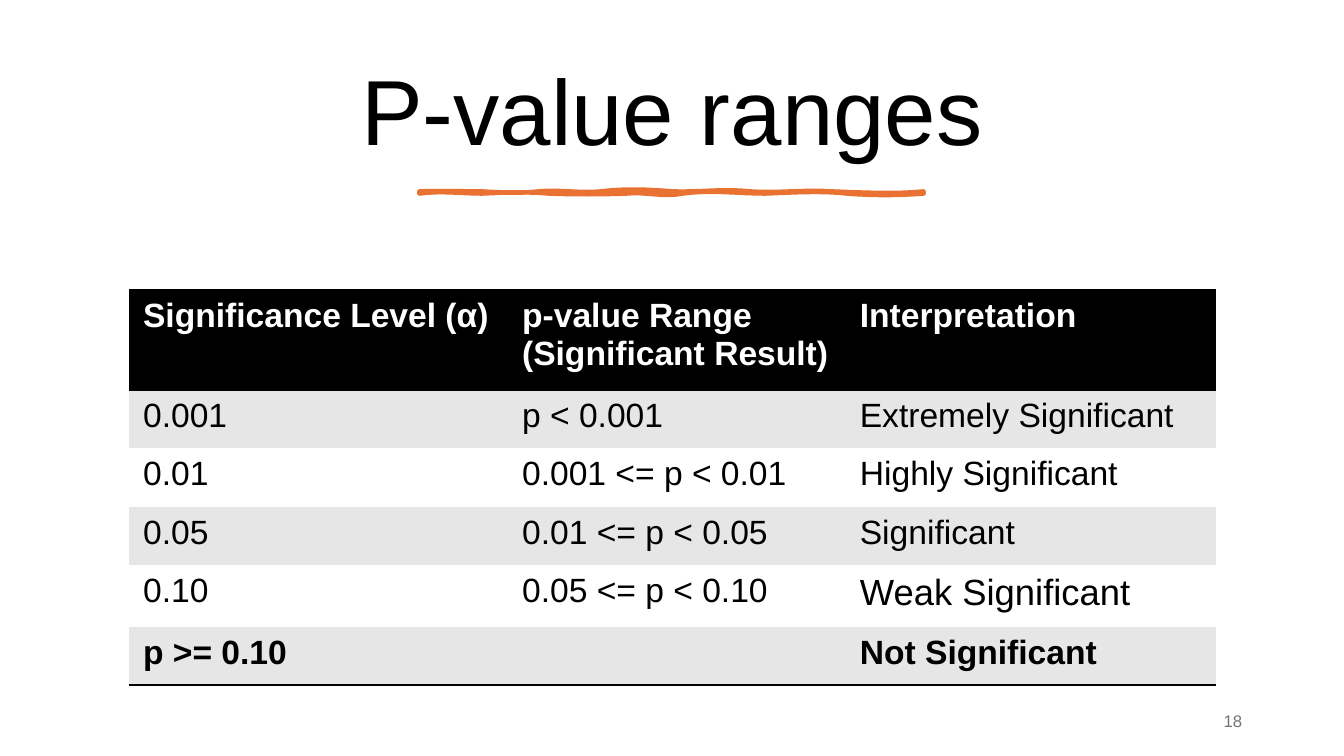
from lxml import etree
from pptx import Presentation
from pptx.dml.color import RGBColor
from pptx.enum.text import MSO_ANCHOR, PP_ALIGN
from pptx.oxml.ns import qn
from pptx.util import Inches, Pt

BLACK = RGBColor(0x00, 0x00, 0x00)
WHITE = RGBColor(0xFF, 0xFF, 0xFF)
BAND = RGBColor(0xE6, 0xE6, 0xE6)
ORANGE = RGBColor(0xE9, 0x71, 0x32)
GREY = RGBColor(0x75, 0x75, 0x75)
CENTER, RIGHT, LEFT = PP_ALIGN.CENTER, PP_ALIGN.RIGHT, PP_ALIGN.LEFT
MIDDLE = MSO_ANCHOR.MIDDLE
PLAIN_TABLE = "{2D5ABB26-0587-4C30-8999-92F81FD0307C}"

P_VALUE_ROWS = [
    ("Significance Level (α)", "p-value Range (Significant Result)", "Interpretation"),
    ("0.001", "p < 0.001", "Extremely Significant"),
    ("0.01", "0.001 <= p < 0.01", "Highly Significant"),
    ("0.05", "0.01 <= p < 0.05", "Significant"),
    ("0.10", "0.05 <= p < 0.10", "Weak Significant"),
    ("p >= 0.10", "", "Not Significant"),
]
COLUMN_WIDTHS = (28.2, 25.13, 27.53)
ROW_HEIGHTS = (13.2, 7.73, 7.73, 7.73, 8.13, 7.73)
STROKE_TOP = [(35.86, -0.13, 0), (40.06, 0.13, 0.27), (44.71, -0.27, 0.27),
              (50.04, -0.4, -0.27), (55.81, 0.13, -0.4), (61.89, 0.27, -0.27),
              (68.72, 0.13, 0.4)]
STROKE_BOTTOM = [(63.02, 0.27, 0.27), (56.94, -0.4, -0.13), (50.79, 0, -0.53),
                 (46.59, 0.53, -0.27), (40.81, 0.13, 0.13), (35.86, -0.27, -0.13),
                 (31.21, 0, -0.4)]


class SlideBuilder:
    font = "Arial"
    samples = 8

    def __init__(self, deck):
        self.width, self.height = deck.slide_width, deck.slide_height
        self.slide = deck.slides.add_slide(deck.slide_layouts[6])

    def x(self, share):
        return round(self.width * share / 100)

    def y(self, share):
        return round(self.height * share / 100)

    def box(self, left, top, width, height):
        return self.x(left), self.y(top), self.x(width), self.y(height)

    def style(self, paragraph, size, color, bold=False, align=LEFT):
        paragraph.alignment = align
        paragraph.font.name = self.font
        paragraph.font.size = Pt(size)
        paragraph.font.bold = bold
        paragraph.font.color.rgb = color

    def text(self, wording, area, size, color, align, spacing=1.0):
        frame = self.slide.shapes.add_textbox(*self.box(*area)).text_frame
        frame.word_wrap = True
        frame.vertical_anchor = MIDDLE
        frame.text = wording
        paragraph = frame.paragraphs[0]
        paragraph.line_spacing = spacing
        self.style(paragraph, size, color, align=align)

    def wave(self, start, level, bends):
        points = []
        for end, first, second in bends:
            for step in range(1, self.samples + 1):
                t = step / self.samples
                lift = 3 * t * (1 - t) * ((1 - t) * first + t * second)
                points.append((self.x(start + t * (end - start)), self.y(level + lift)))
            start = end
        return points

    def brush_stroke(self, left, right, top, bottom, color, weight):
        builder = self.slide.shapes.build_freeform(self.x(left), self.y(top))
        builder.add_line_segments(self.wave(left, top, STROKE_TOP), close=False)
        builder.add_line_segments([(self.x(right), self.y(bottom))], close=False)
        builder.add_line_segments(self.wave(right, bottom, STROKE_BOTTOM), close=True)
        stroke = builder.convert_to_shape()
        stroke.shadow.inherit = False
        stroke.fill.solid()
        stroke.fill.fore_color.rgb = color
        stroke.line.color.rgb = color
        stroke.line.width = Pt(weight)
        etree.SubElement(stroke.line._get_or_add_ln(), qn("a:round"))

    def border(self, cell, sides, color, weight):
        properties = cell._tc.get_or_add_tcPr()
        for position, side in enumerate(sides):
            line = etree.Element(qn(f"a:ln{side}"), w=str(Pt(weight)))
            fill = etree.SubElement(line, qn("a:solidFill"))
            etree.SubElement(fill, qn("a:srgbClr"), val=str(color))
            properties.insert(position, line)

    def cell(self, cell, wording, fill, size, color, bold):
        cell.margin_left = cell.margin_right = Inches(0.14)
        cell.margin_top = cell.margin_bottom = Inches(0.07)
        cell.fill.solid()
        cell.fill.fore_color.rgb = fill
        cell.text = wording
        self.style(cell.text_frame.paragraphs[0], size, color, bold)

    def table(self, left, top, rows, widths, heights):
        area = self.box(left, top, sum(widths), sum(heights))
        frame = self.slide.shapes.add_table(len(rows), len(widths), *area)
        for style_id in frame.element.iter(qn("a:tableStyleId")):
            style_id.text = PLAIN_TABLE
        table = frame.table
        for column, width in zip(table.columns, widths):
            column.width = self.x(width)
        last = len(rows) - 1
        for r, (wordings, height) in enumerate(zip(rows, heights)):
            table.rows[r].height = self.y(height)
            header = r == 0
            fill = BLACK if header else BAND if r % 2 else WHITE
            for c, wording in enumerate(wordings):
                cell = table.cell(r, c)
                size = 26 if wording == "Weak Significant" else 24
                self.cell(cell, wording, fill, size, WHITE if header else BLACK,
                          r in (0, last))
                if r in (0, last):
                    self.border(cell, "TB" if header else "B", BLACK, 2)


def main():
    deck = Presentation()
    deck.slide_width, deck.slide_height = Inches(13.33), Inches(7.5)
    page = SlideBuilder(deck)
    page.text("P-value ranges", (5.25, 6.13, 89.5, 18.27), 66, BLACK, CENTER, 0.9)
    page.brush_stroke(31.21, 68.72, 25.33, 25.6, ORANGE, 3.25)
    page.table(9.6, 38.4, P_VALUE_ROWS, COLUMN_WIDTHS, ROW_HEIGHTS)
    page.text("18", (70.67, 92.67, 22.5, 5.33), 12, GREY, RIGHT)
    deck.save("out.pptx")


if __name__ == "__main__":
    main()
